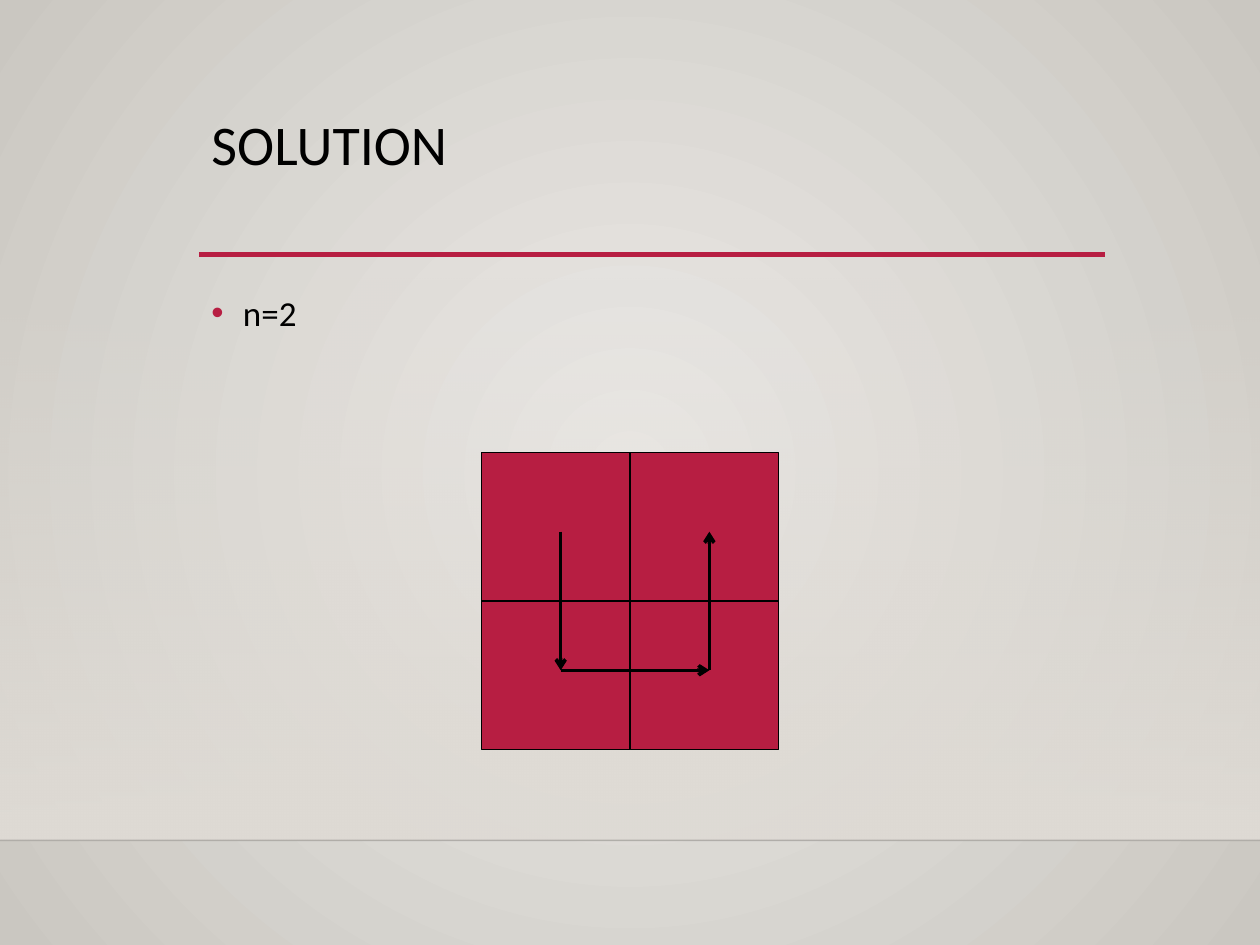
from itertools import pairwise

from pptx import Presentation
from pptx import util as u
from pptx.dml.color import RGBColor
from pptx.enum import shapes, text
from pptx.oxml import parse_xml
from pptx.oxml.ns import nsdecls, qn
from pptx.oxml.xmlchemy import OxmlElement

BLACK = RGBColor(0x00, 0x00, 0x00)
CRIMSON = RGBColor(0xB7, 0x1E, 0x42)
FLOOR = RGBColor(0xDF, 0xDB, 0xD5)
GLOW = RGBColor(0xEC, 0xEA, 0xE7)
EDGE = RGBColor(0xCA, 0xC7, 0xC1)
FONT = "Calibri"
RADIAL = ('<a:path path="circle"><a:fillToRect l="50000" t="50000" '
          'r="50000" b="50000"/></a:path>')
DOWNWARD = '<a:lin ang="5400000" scaled="0"/>'


def set_gradient(fill, owner, start, end, shade, start_alpha=100):
    """Give the owner element a two-stop gradient fill."""
    fill.solid()
    solid = next(owner.iter(qn("a:solidFill")))
    gradient = parse_xml(
        f'<a:gradFill {nsdecls("a")} rotWithShape="1"><a:gsLst>'
        f'<a:gs pos="0"><a:srgbClr val="{start}">'
        f'<a:alpha val="{start_alpha * 1000}"/></a:srgbClr></a:gs>'
        f'<a:gs pos="100000"><a:srgbClr val="{end}"/></a:gs>'
        f'</a:gsLst>{shade}</a:gradFill>')
    solid.getparent().replace(solid, gradient)


def add_line(slide, start, end, color, weight, alpha=None, arrow=False):
    """Draw a straight line between two points given in inches."""
    line = slide.shapes.add_connector(
        shapes.MSO_CONNECTOR.STRAIGHT, *map(u.Inches, (*start, *end)))
    line.line.color.rgb = color
    line.line.width = u.Pt(weight)
    line._element.spPr.append(OxmlElement("a:effectLst"))
    if alpha is not None:
        opacity = OxmlElement("a:alpha")
        opacity.set("val", str(alpha * 1000))
        next(line._element.spPr.iter(qn("a:srgbClr"))).append(opacity)
    if arrow:
        head = OxmlElement("a:tailEnd")
        head.set("type", "arrow")
        line.line._get_or_add_ln().append(head)
    return line


def add_rectangle(slide, left, top, width, height):
    """Add a rectangle without shadow or outline."""
    rectangle = slide.shapes.add_shape(
        shapes.MSO_SHAPE.RECTANGLE, *map(u.Inches, (left, top, width, height)))
    rectangle.shadow.inherit = False
    rectangle.line.fill.background()
    return rectangle


def add_backdrop(slide, width, wall_top, floor_top):
    """Paint the background, the wall fade and the floor line."""
    set_gradient(slide.background.fill, slide._element, GLOW, EDGE, RADIAL)
    wall = add_rectangle(slide, 0, wall_top, width, floor_top - wall_top)
    set_gradient(wall.fill, wall._element.spPr, FLOOR, FLOOR, DOWNWARD, 0)
    add_line(slide, (0, floor_top), (width, floor_top), BLACK, 1, alpha=20)


def add_text(slide, left, top, width, height, words, size, spacing):
    """Add a one-line text box and return its paragraph."""
    frame = slide.shapes.add_textbox(
        *map(u.Inches, (left, top, width, height))).text_frame
    frame.word_wrap = True
    frame.vertical_anchor = text.MSO_ANCHOR.TOP
    paragraph = frame.paragraphs[0]
    paragraph.line_spacing = spacing
    run = paragraph.add_run()
    run.text = words
    run.font.name = FONT
    run.font.size = u.Pt(size)
    run.font.color.rgb = BLACK
    return paragraph


def add_heading(slide, left, top, width, height):
    """Place the title above its crimson rule."""
    rule = top + height
    add_line(slide, (left, rule), (left + width, rule), CRIMSON, 2.5)
    add_text(slide, left, top, width, height, "SOLUTION", 32, 0.9)


def add_body(slide, left, top, width, height):
    """Place the bulleted case."""
    case = add_text(slide, left, top, width, height, "n=2", 20, 1.2)
    case.space_before = u.Pt(10)
    properties = case._p.get_or_add_pPr()
    properties.set("marL", str(u.Inches(0.25)))
    properties.set("indent", str(u.Inches(-0.25)))
    properties.append(parse_xml(
        f'<a:buClr {nsdecls("a")}><a:srgbClr val="{CRIMSON}"/></a:buClr>'))
    properties.append(parse_xml(
        f'<a:buFont {nsdecls("a")} typeface="Arial"/>'))
    properties.append(parse_xml(f'<a:buChar {nsdecls("a")} char="•"/>'))


def add_curve(slide, left, top, side):
    """Draw the quartered square and the path through its cells."""
    square = add_rectangle(slide, left, top, side, side)
    square.fill.solid()
    square.fill.fore_color.rgb = CRIMSON
    square.line.color.rgb = BLACK
    square.line.width = u.Pt(0.75)

    middle_x, middle_y = left + side / 2, top + side / 2
    dividers = (
        ((left, middle_y), (left + side, middle_y), 1, 3),
        ((middle_x, top), (middle_x, top + side), 0, 2),
    )
    for start, end, start_site, end_site in dividers:
        divider = add_line(slide, start, end, BLACK, 0.75)
        divider.begin_connect(square, start_site)
        divider.end_connect(square, end_site)

    west, east = left + 0.63, left + 0.63 + side / 2
    north, south = middle_y - 0.55, middle_y + 0.55
    stops = ((west, north), (west, south), (east, south), (east, north))
    for start, end in pairwise(stops):
        add_line(slide, start, end, BLACK, 2, arrow=True)


def main():
    """Build and save the slide."""
    deck = Presentation()
    deck.slide_width, deck.slide_height = u.Inches(10), u.Inches(7.5)
    slide = deck.slides.add_slide(deck.slide_layouts[6])
    add_backdrop(slide, 10, 2.2, 6.67)
    add_heading(slide, 1.58, 0.88, 7.19, 1.14)
    add_body(slide, 1.58, 2.2, 7.19, 3.77)
    add_curve(slide, 3.82, 3.59, 2.36)
    deck.save("out.pptx")


if __name__ == "__main__":
    main()
